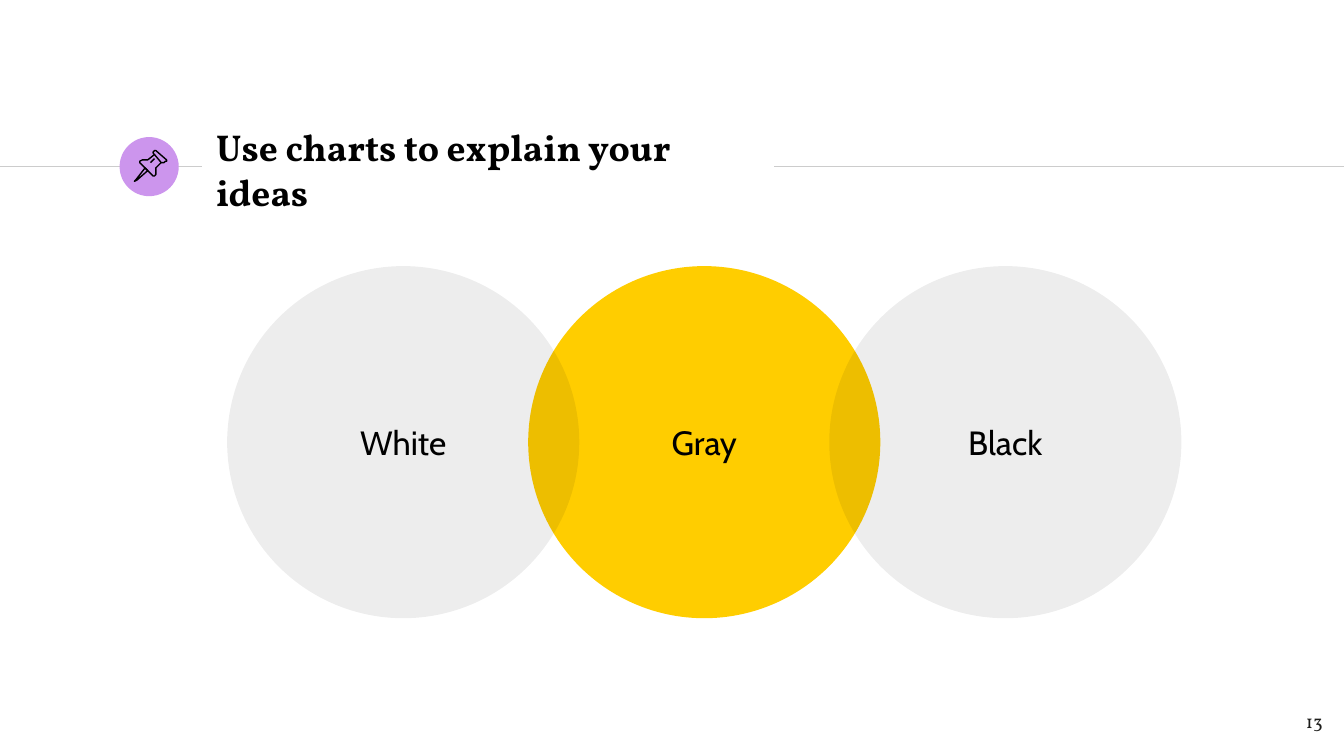
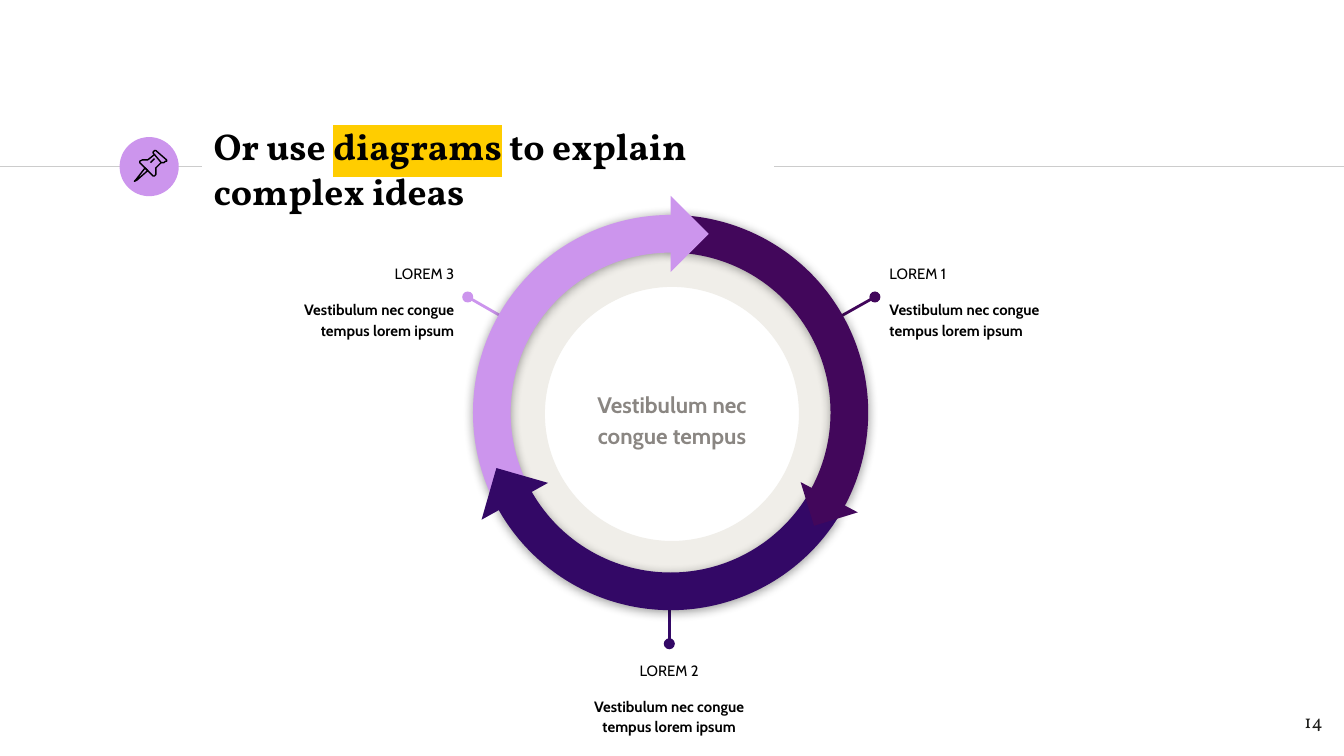
"""Build two slides: a row of overlapping circles and a three-step cycle."""
import pptx
import pptx.dml.color
import pptx.enum.shapes
import pptx.enum.text
import pptx.oxml
import pptx.oxml.ns
import pptx.util

WIDTH = 10
HEIGHT = WIDTH * 9 / 16
BLACK, RULE, INK, MUTED = "000000", "CCCCCC", "1D1D1B", "8A8682"
YELLOW, LILAC, PLUM, INDIGO, CREAM = "FFCD00", "CC95ED", "42075B", "330866", "F0EEE9"
SERIF, SANS = "Vollkorn", "Cabin"

SHAPE = pptx.enum.shapes.MSO_SHAPE
ALIGN = pptx.enum.text.PP_ALIGN
ANCHOR = pptx.enum.text.MSO_ANCHOR

RULE_Y = 1.24
RULES = [(0, 1.5), (5.76, WIDTH)]
BADGE = (0.89, 1.02, 0.44, 0.44)
PIN_ORIGIN = (1, 1.12)
PIN_STROKES = [
    ([(8, 13), (1, 22), (0, 23), (2, 22), (10, 15)], True),
    ([(15, 3), (20, 9), (22, 9), (23, 8.5), (24, 8), (24, 7), (16, 0), (15, 0),
      (14, 1), (14, 2.5)], True),
    ([(15, 3), (10, 7), (8, 6.6), (6, 6.8), (4, 8), (4, 9), (14, 19), (15, 19),
      (16, 18), (16.4, 16), (16, 13), (20, 9)], False),
    ([(12, 9), (15, 6)], False),
]

CIRCLE_SIZE, CIRCLE_PITCH, CIRCLE_LEFT, CIRCLE_TOP = 2.62, 2.24, 1.69, 1.98
CIRCLES = [("Gray", 1, YELLOW, 100), ("White", 0, BLACK, 7), ("Black", 2, BLACK, 7)]

DISC = (3.61, 1.69, 2.78, 2.78)
CENTRE_BOX = (4.21, 2.67, 1.58, 0.88)
CYCLE_BOX = (3.52, 1.6, 2.94, 2.94)
BAND = 0.28
CALLOUT_SIZE = (1.64, 0.73)
CALLOUT_TEXT = "Vestibulum nec congue tempus lorem ipsum"
CALLOUTS = [
    ("LOREM 3", LILAC, (3.48, 2.21), (3.95, 2.48), (1.84, 1.85), ALIGN.RIGHT),
    ("LOREM 1", PLUM, (6.51, 2.21), (6.03, 2.48), (6.52, 1.85), ALIGN.LEFT),
    ("LOREM 2", INDIGO, (4.98, 4.79), (4.98, 4.28), (4.16, 4.8), ALIGN.CENTER),
]
ARC, HEAD = "arc", "head"
CYCLE_PARTS = [
    (ARC, PLUM, 30, (240.2, 0), False),
    (ARC, LILAC, 330, (239.1, 357.9), True),
    (HEAD, LILAC, 225, (4.79, 1.54, 0.4, 0.4), False),
    (ARC, INDIGO, 210, (238.6, 358.4), True),
    (HEAD, PLUM, 342.9, (6, 3.53, 0.34, 0.34), False),
    (HEAD, INDIGO, 106, (3.63, 3.53, 0.4, 0.4), False),
]


def rgb(value):
    return pptx.dml.color.RGBColor.from_string(value)


def inches(values):
    return [pptx.util.Inches(value) for value in values]


def xml(tag, body="", attributes=""):
    namespace = pptx.oxml.ns.nsdecls("a")
    return pptx.oxml.parse_xml(f"<a:{tag} {namespace} {attributes}>{body}</a:{tag}>")


def add_filled(shapes, kind, box, color, opacity=100):
    shape = shapes.add_shape(kind, *inches(box))
    shape.shadow.inherit = False
    shape.fill.solid()
    shape.fill.fore_color.rgb = rgb(color)
    shape.line.fill.background()
    if opacity < 100:
        color_node = shape.element.spPr.find(".//" + pptx.oxml.ns.qn("a:srgbClr"))
        color_node.append(xml("alpha", attributes=f'val="{opacity * 1000}"'))
    return shape


def add_line(shapes, start, end, color, width, dot=False):
    line = shapes.add_connector(
        pptx.enum.shapes.MSO_CONNECTOR.STRAIGHT, *inches(start + end))
    line.line.color.rgb = rgb(color)
    line.line.width = pptx.util.Pt(width)
    if dot:
        outline = line.element.spPr.find(pptx.oxml.ns.qn("a:ln"))
        outline.append(xml("headEnd", attributes='type="oval"'))
    line.element.spPr.append(xml("effectLst"))


def add_run(paragraph, text, size, font, color, bold=False, highlight=None):
    run = paragraph.add_run()
    run.text = text
    run.font.size = pptx.util.Pt(size)
    run.font.bold = bold
    run.font.color.rgb = rgb(color)
    run.font.name = font
    if highlight:
        fill = run.font._element.find(pptx.oxml.ns.qn("a:solidFill"))
        fill.addnext(xml("highlight", f'<a:srgbClr val="{highlight}"/>'))


def prepare_frame(shape, align, anchor=ANCHOR.TOP):
    frame = shape.text_frame
    frame.word_wrap = True
    frame.vertical_anchor = anchor
    frame.margin_left = frame.margin_right = pptx.util.Inches(0.1)
    frame.margin_top = frame.margin_bottom = pptx.util.Inches(0.1)
    frame.paragraphs[0].alignment = align
    return frame


def add_text_box(shapes, box, align=ALIGN.LEFT, anchor=ANCHOR.TOP):
    return prepare_frame(shapes.add_textbox(*inches(box)), align, anchor)


def add_pin(slide):
    group = slide.shapes.add_group_shape()
    scale = pptx.util.Inches(0.01)
    for points, closed in PIN_STROKES:
        builder = group.shapes.build_freeform(*points[0], scale=scale)
        builder.add_line_segments(points[1:], close=closed)
        stroke = builder.convert_to_shape(*inches(PIN_ORIGIN))
        stroke.shadow.inherit = False
        stroke.fill.background()
        stroke.line.color.rgb = rgb(BLACK)
        stroke.line.width = pptx.util.Pt(0.75)


def add_base_slide(presentation, number, title_box, title_parts):
    slide = presentation.slides.add_slide(presentation.slide_layouts[6])
    for start, end in RULES:
        add_line(slide.shapes, (start, RULE_Y), (end, RULE_Y), RULE, 0.75)
    add_filled(slide.shapes, SHAPE.OVAL, BADGE, LILAC)
    title = add_text_box(slide.shapes, title_box, anchor=ANCHOR.MIDDLE)
    for text, highlight in title_parts:
        add_run(title.paragraphs[0], text, 20, SERIF, BLACK, True, highlight)
    footer = add_text_box(slide.shapes, (9.34, 5.2, 0.6, 0.43), ALIGN.RIGHT)
    add_run(footer.paragraphs[0], str(number), 10, SERIF, INK)
    add_pin(slide)
    return slide


def add_circles(slide):
    for label, column, color, opacity in CIRCLES:
        left = CIRCLE_LEFT + column * CIRCLE_PITCH
        box = (left, CIRCLE_TOP, CIRCLE_SIZE, CIRCLE_SIZE)
        circle = add_filled(slide.shapes, SHAPE.OVAL, box, color, opacity)
        frame = prepare_frame(circle, ALIGN.CENTER, ANCHOR.MIDDLE)
        add_run(frame.paragraphs[0], label, 18, SANS, BLACK)


def add_callout(slide, label, color, dot, end, corner, align):
    group = slide.shapes.add_group_shape()
    add_line(group.shapes, dot, end, color, 1.5, dot=True)
    frame = add_text_box(group.shapes, corner + CALLOUT_SIZE, align)
    heading, body = frame.paragraphs[0], frame.add_paragraph()
    body.alignment = align
    body.space_before = pptx.util.Pt(8.5)
    heading.line_spacing = body.line_spacing = 1.15
    add_run(heading, label, 8, SANS, BLACK)
    add_run(body, CALLOUT_TEXT, 8, SANS, BLACK, True)


def add_arc(slide, color, angles):
    arc = add_filled(slide.shapes, SHAPE.BLOCK_ARC, CYCLE_BOX, color)
    for index, angle in enumerate(angles):
        arc.adjustments[index] = angle * 60000 / 100000
    arc.adjustments[2] = BAND / CYCLE_BOX[2]
    effects = arc.element.spPr.find(pptx.oxml.ns.qn("a:effectLst"))
    effects.append(xml(
        "outerShdw",
        f'<a:srgbClr val="{BLACK}"><a:alpha val="40000"/></a:srgbClr>',
        f'blurRad="{pptx.util.Pt(5.6)}" dist="{pptx.util.Pt(0.8)}" dir="5400000" '
        'algn="ctr" rotWithShape="0"'))
    return arc


def add_cycle(slide):
    disc = add_filled(slide.shapes, SHAPE.DONUT, DISC, CREAM)
    disc.adjustments[0] = 0.16
    for callout in CALLOUTS:
        add_callout(slide, *callout)
    centre = add_text_box(slide.shapes, CENTRE_BOX, ALIGN.CENTER, ANCHOR.MIDDLE)
    centre.paragraphs[0].line_spacing = 1.15
    add_run(centre.paragraphs[0], "Vestibulum nec congue tempus", 12, SANS, MUTED, True)
    for kind, color, rotation, geometry, flipped in CYCLE_PARTS:
        if kind == ARC:
            part = add_arc(slide, color, geometry)
        else:
            part = add_filled(slide.shapes, SHAPE.RIGHT_TRIANGLE, geometry, color)
        part.rotation = rotation
        if flipped:
            part.element.spPr.get_or_add_xfrm().set("flipH", "1")


def main():
    presentation = pptx.Presentation()
    presentation.slide_width, presentation.slide_height = inches((WIDTH, HEIGHT))
    add_circles(add_base_slide(
        presentation, 13, (1.51, 1.02, 4.24, 0.48),
        [("Use charts to explain your ideas", None)]))
    add_cycle(add_base_slide(
        presentation, 14, (1.49, 1.01, 4.25, 0.48),
        [("Or use ", None), ("diagrams", YELLOW), (" to explain complex ideas", None)]))
    presentation.save("out.pptx")


if __name__ == "__main__":
    main()
